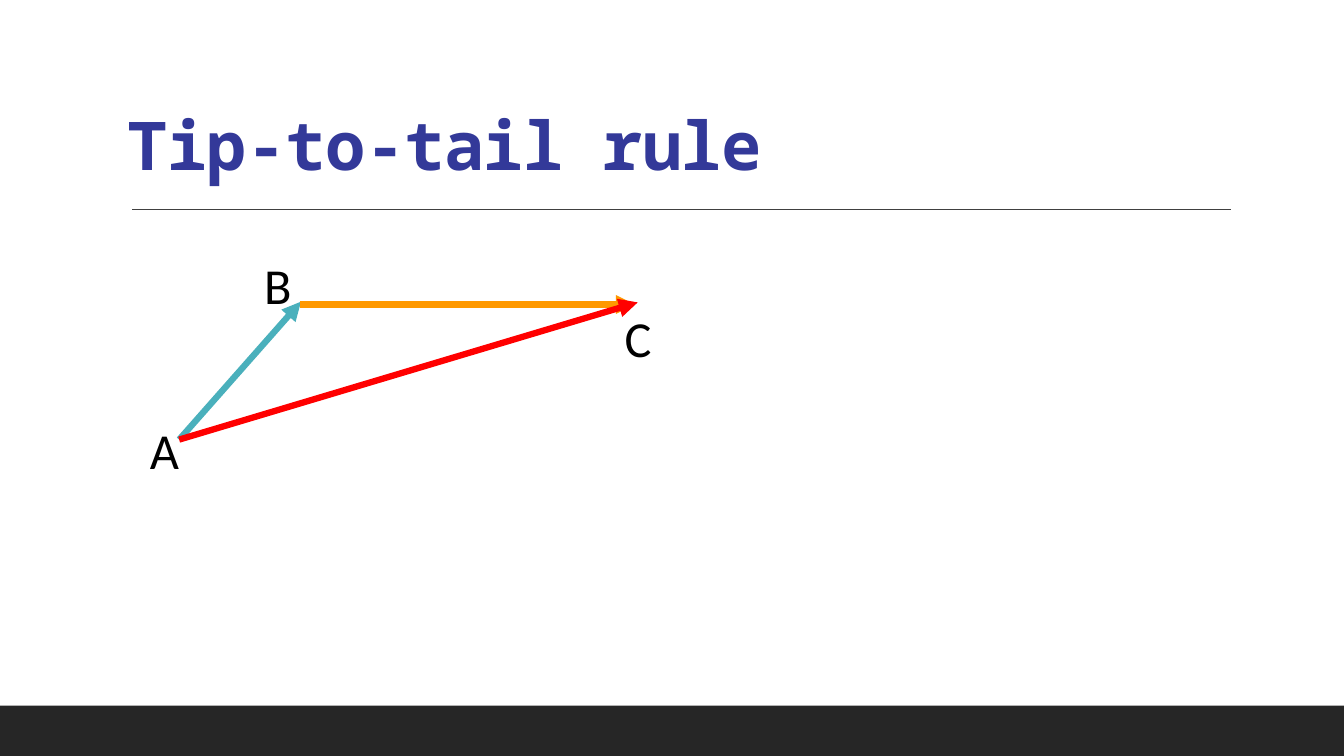
from lxml import etree
from pptx import Presentation
from pptx.dml.color import RGBColor
from pptx.enum.shapes import MSO_CONNECTOR, MSO_SHAPE
from pptx.enum.text import MSO_ANCHOR, MSO_AUTO_SIZE, PP_ALIGN
from pptx.oxml.ns import qn
from pptx.util import Pt

STRAIGHT = MSO_CONNECTOR.STRAIGHT
RECT = MSO_SHAPE.RECTANGLE
BOTTOM = MSO_ANCHOR.BOTTOM
LEFT = PP_ALIGN.LEFT
NO_FIT = MSO_AUTO_SIZE.NONE
GROW = MSO_AUTO_SIZE.SHAPE_TO_FIT_TEXT

# Content, in points
WIDE, HIGH, BAR = 960, 540, 36
TITLE = "Tip-to-tail rule"
RULE = ((94.5, 149.5), (879, 149.5))
SIDES = [  # start, end, colour
    ((128, 314), (215, 215.5), "4AB0BC"),
    ((214, 217.5), (453.5, 217.5), "FF9900"),
]
SUM = ((128, 314), (455.5, 216), "FF0000")
LABELS = [("A", 100, 296, 35), ("B", 181.5, 178, 34.5), ("C", 439, 216, 34)]


def rgb(code):
    return RGBColor.from_string(code)


def set_font(font, name, size, color):
    font.name, font.size = name, Pt(size)
    font.color.rgb = rgb(color)


def add_line(start, end, color, width):
    line = slide.shapes.add_connector(STRAIGHT, *map(Pt, start + end))
    line.line.color.rgb = rgb(color)
    line.line.width = Pt(width)
    etree.SubElement(line._element.spPr, qn("a:effectLst"))
    return line


def add_arrow(start, end, color):
    line = add_line(start, end, color, 4.5)
    etree.SubElement(line.line._get_or_add_ln(), qn("a:tailEnd"), type="triangle")


def add_label(text, left, top, width):
    box = slide.shapes.add_textbox(Pt(left), Pt(top), Pt(width), Pt(51))
    frame = box.text_frame
    frame.word_wrap = False
    frame.auto_size = GROW
    frame.text = text
    set_font(frame.paragraphs[0].runs[0].font, "Calibri", 36, "000000")


deck = Presentation()
deck.slide_width, deck.slide_height = Pt(WIDE), Pt(HIGH)
slide = deck.slides.add_slide(deck.slide_layouts[5])

# Footer bar and rule under the title
bar = slide.shapes.add_shape(RECT, 0, Pt(HIGH - BAR), Pt(WIDE), Pt(BAR))
bar.shadow.inherit = False
bar.fill.solid()
bar.fill.fore_color.rgb = rgb("262626")
bar.line.fill.background()
add_line(*RULE, "404040", 1)

# Title
title = slide.shapes.title
title.left, title.top, title.width, title.height = map(Pt, (84, 21, 792, 114.5))
frame = title.text_frame
frame.text = TITLE
frame.auto_size = NO_FIT
frame.vertical_anchor = BOTTOM
para = frame.paragraphs[0]
para.alignment = LEFT
para.line_spacing = 0.9
font = para.runs[0].font
set_font(font, "Noto Sans Mono", 48, "333999")
font.bold = True
para.runs[0]._r.get_or_add_rPr().set("spc", "-50")

# Vectors, corner names, then the sum on top
for side in SIDES:
    add_arrow(*side)
for label in LABELS:
    add_label(*label)
add_arrow(*SUM)

deck.save("out.pptx")
